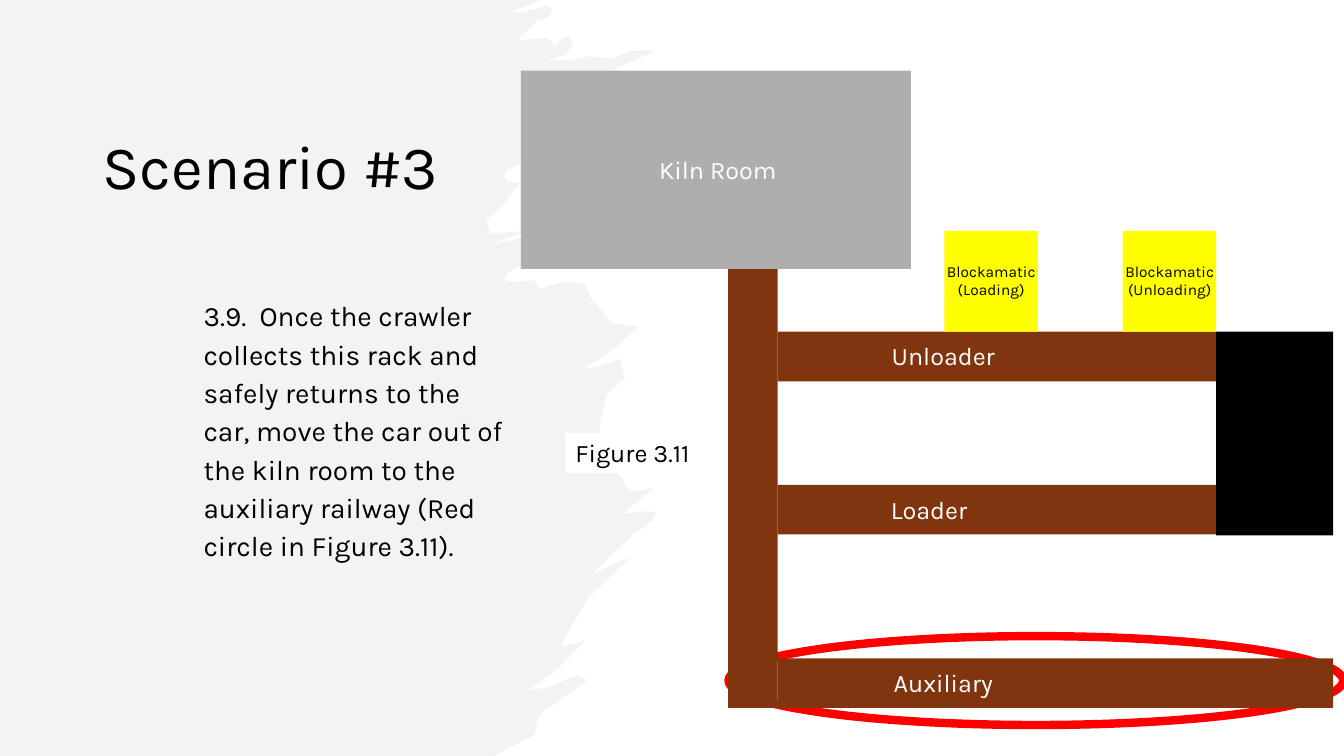
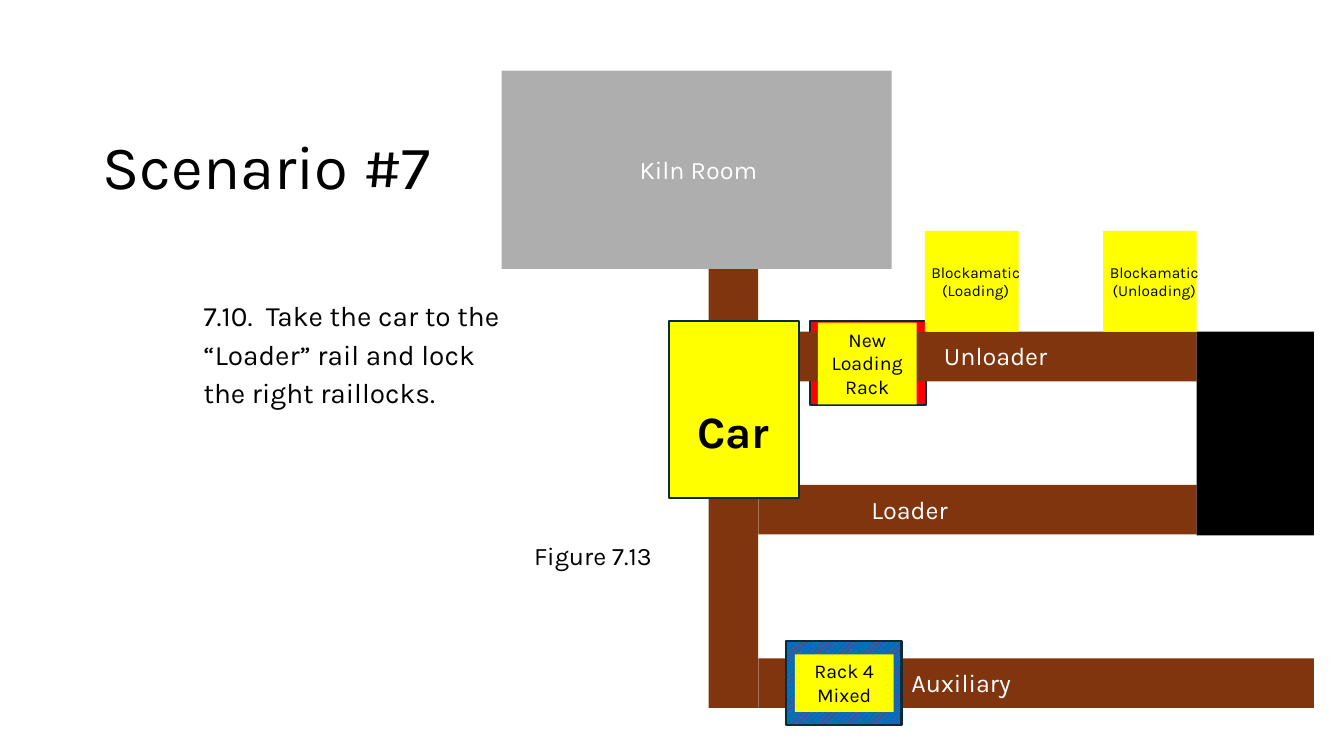
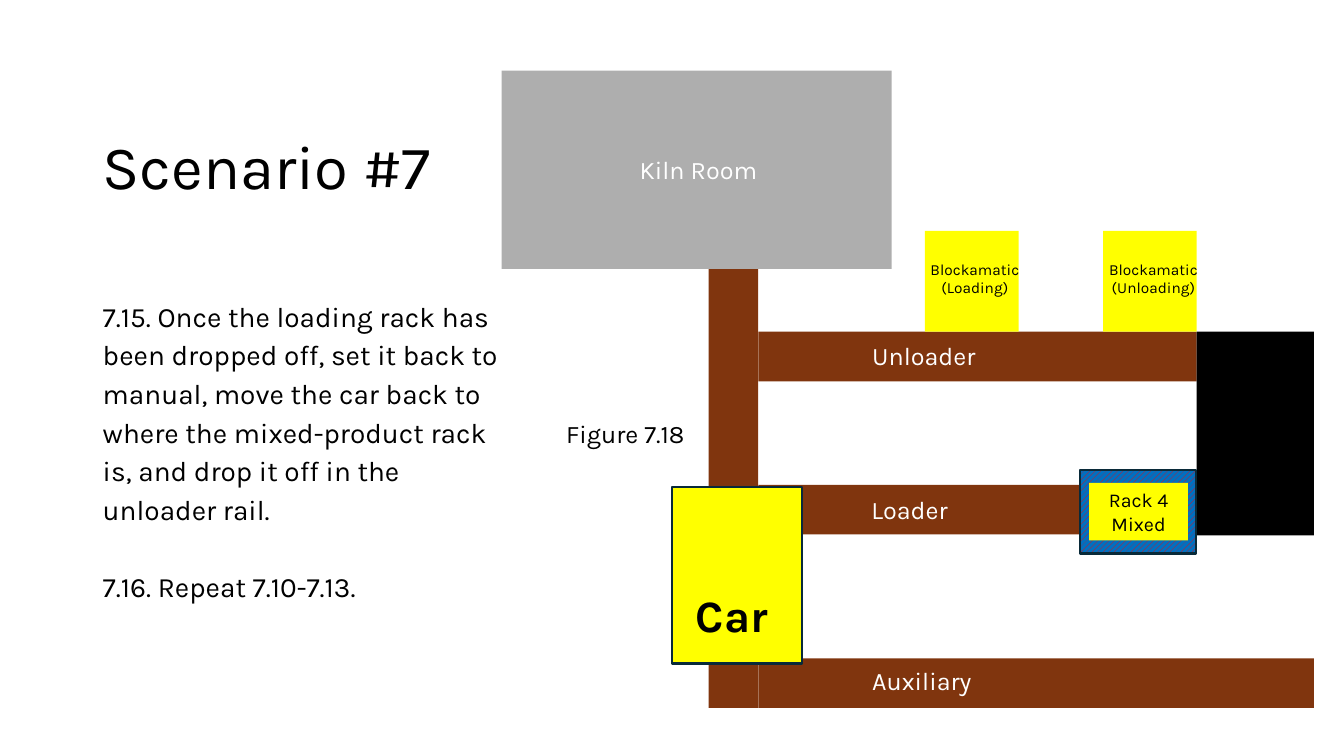
"""Build three kiln rail scenario slides."""
import lxml.etree
import pptx
import pptx.dml.color
import pptx.enum.dml
import pptx.enum.shapes
import pptx.enum.text
import pptx.oxml.ns
import pptx.util

Cm = pptx.util.Cm
Pt = pptx.util.Pt
RGBColor = pptx.dml.color.RGBColor
ALIGN = pptx.enum.text.PP_ALIGN
ANCHOR = pptx.enum.text.MSO_ANCHOR
SHAPE = pptx.enum.shapes.MSO_SHAPE

BLACK = RGBColor(0x00, 0x00, 0x00)
WHITE = RGBColor(0xFF, 0xFF, 0xFF)
GRAY = RGBColor(0xAE, 0xAE, 0xAE)
PAINT = RGBColor(0xE8, 0xE8, 0xE8)
BROWN = RGBColor(0x80, 0x35, 0x0E)
YELLOW = RGBColor(0xFF, 0xFF, 0x00)
RED = RGBColor(0xFF, 0x00, 0x00)
BLUE = RGBColor(0x00, 0x70, 0xC0)
NAVY = RGBColor(0x09, 0x2A, 0x39)

FONT = "Karla"
TITLE = {"size": Pt(44), "name": FONT}
BODY = {"size": Pt(20), "name": FONT}
LABEL = {"size": Pt(18), "name": FONT}
SMALL = {"size": Pt(11), "name": FONT}
RACK = {"size": Pt(14), "name": FONT}
CAR = {"size": Pt(32), "name": FONT, "bold": True}
CENTER = {"alignment": ALIGN.CENTER}

RAIL = 1.25
TRUNK_LEFT, KILN_HEIGHT = 5.22, 5.0
RAIL_LEFT, RAIL_LENGTH = TRUNK_LEFT + RAIL, 11.05
UNLOADER_TOP, LOADER_TOP, AUXILIARY_TOP = 6.58, 10.44, 14.81
MACHINE_WIDTH, MACHINE_HEIGHT = 2.36, 2.54
RAIL_END = RAIL_LEFT + RAIL_LENGTH

BRUSH_UNIT = Cm(2.54) / 100
BRUSH_EDGE = [
    (538, 0), (0, 0), (0, 750), (491, 750), (497, 746), (517, 736), (530, 729),
    (534, 711), (541, 704), (555, 695), (582, 675), (572, 670), (544, 682),
    (524, 685), (553, 664), (580, 636), (559, 641), (558, 638), (576, 605),
    (585, 592), (626, 552), (587, 570), (627, 531), (647, 517), (651, 509),
    (643, 507), (617, 510), (649, 484), (625, 488), (618, 477), (606, 461),
    (598, 452), (595, 423), (602, 391), (620, 375), (615, 356), (597, 363),
    (576, 367), (607, 348), (634, 324), (624, 323), (607, 321), (589, 298),
    (587, 297), (581, 282), (562, 279), (546, 283), (536, 287), (529, 278),
    (513, 280), (500, 278), (505, 270), (513, 265), (531, 265), (544, 256),
    (556, 241), (598, 217), (606, 208), (546, 230), (485, 243), (522, 229),
    (497, 231), (487, 232), (483, 222), (483, 218), (493, 209), (499, 203),
    (516, 182), (504, 180), (500, 175), (503, 169), (539, 150), (542, 135),
    (535, 133), (527, 134), (534, 122), (559, 110), (564, 104), (558, 101),
    (553, 99), (600, 73), (651, 50), (629, 50), (607, 58), (584, 56),
    (562, 60), (543, 60), (561, 54), (568, 45), (565, 36), (558, 38),
    (549, 49), (548, 42), (542, 38), (513, 40), (533, 20), (545, 17),
    (548, 8), (542, 6), (513, 13), (509, 11), (525, 5),
]


def set_all(target, values):
    """Set every attribute named in a dict."""
    for name, value in values.items():
        setattr(target, name, value)


def place(origin, left, top, width, height):
    """Turn centimetres relative to an origin into slide lengths."""
    return Cm(origin[0] + left), Cm(origin[1] + top), Cm(width), Cm(height)


def add_box(page, bounds, fill=None, line=None, weight=1.5, kind=SHAPE.RECTANGLE):
    """Add a preset shape with a plain fill and outline."""
    box = page.shapes.add_shape(kind, *bounds)
    box.shadow.inherit = False
    if fill is None:
        box.fill.background()
    else:
        box.fill.solid()
        box.fill.fore_color.rgb = fill
    if line is None:
        box.line.fill.background()
    else:
        box.line.color.rgb = line
        box.line.width = Pt(weight)
    return box


def add_text(page, bounds, lines, style, color=BLACK, layout=None, frame=None, fill=None):
    """Add a wrapped text box with one paragraph for each line."""
    box = page.shapes.add_textbox(*bounds)
    if fill is not None:
        box.fill.solid()
        box.fill.fore_color.rgb = fill
    set_all(box.text_frame, {"word_wrap": True, **(frame or {})})
    for index, line in enumerate(lines):
        para = box.text_frame.paragraphs[0] if index == 0 else box.text_frame.add_paragraph()
        set_all(para, layout or {})
        span = para.add_run()
        span.text = line
        set_all(span.font, style)
        span.font.color.rgb = color
    return box


def add_brush(page):
    """Paint the pale brush stroke at the left of the page."""
    builder = page.shapes.build_freeform(*BRUSH_EDGE[0], scale=BRUSH_UNIT)
    builder.add_line_segments(BRUSH_EDGE[1:], close=True)
    brush = builder.convert_to_shape()
    brush.shadow.inherit = False
    brush.line.fill.background()
    brush.fill.solid()
    brush.fill.fore_color.rgb = PAINT
    tint = brush.fill._xPr.find(".//" + pptx.oxml.ns.qn("a:srgbClr"))
    lxml.etree.SubElement(tint, pptx.oxml.ns.qn("a:alpha"), val="50000")


def add_story(page, title, steps, indent=0.25, spacing=1.15):
    """Add the title and the instructions in the left column."""
    column = (2.34, 1.78)
    add_text(page, place(column, 0, 0, 10.8, 5), [title], TITLE,
             layout={"line_spacing": 0.9}, frame={"vertical_anchor": ANCHOR.MIDDLE})
    body = add_text(page, place(column, 0, 5.51, 10.8, 9.88), steps, BODY,
                    layout={"line_spacing": spacing}, frame={"margin_left": Cm(indent)})
    for para in body.text_frame.paragraphs[1:]:
        para.space_before = Pt(27)


def add_plan(page, origin, unloader, auxiliary, machine):
    """Draw the kiln room, rails and machines, with label places as given."""
    areas = [
        (0, 0, 9.83, KILN_HEIGHT, GRAY),
        (TRUNK_LEFT, KILN_HEIGHT, RAIL, 11.06, BROWN),
        (RAIL_LEFT, UNLOADER_TOP, RAIL_LENGTH, RAIL, BROWN),
        (RAIL_LEFT, LOADER_TOP, RAIL_LENGTH, RAIL, BROWN),
        (RAIL_LEFT, AUXILIARY_TOP, 14, RAIL, BROWN),
        (RAIL_END, UNLOADER_TOP, 2.95, 5.13, BLACK),
    ]
    for left in (10.67, RAIL_END - MACHINE_WIDTH):
        areas.append((left, UNLOADER_TOP - MACHINE_HEIGHT, MACHINE_WIDTH, MACHINE_HEIGHT, YELLOW))
    for *bounds, fill in areas:
        add_box(page, place(origin, *bounds), fill)
    labels = [("Kiln Room", 3.23, 1.98, 3.48), ("Unloader", unloader, 6.68, 3.2),
              ("Loader", 9.07, 10.54, 3.2), ("Auxiliary", *auxiliary, 3.2)]
    for text, left, top, width in labels:
        add_text(page, place(origin, left, top, width, 1.03), [text], LABEL, WHITE)
    for index, task in enumerate(("Loading", "Unloading")):
        bounds = place(origin, machine[0] + 4.5 * index, machine[1], 3.38, 1.19)
        add_text(page, bounds, [f"Blockamatic ({task})"], SMALL, layout=CENTER)


def add_caption(page, left, top, text):
    """Add the white figure caption."""
    add_text(page, place((left, top), 0, 0, 3.6, 1.02), [text], LABEL, fill=WHITE)


def add_car(page, left, top, label):
    """Add the car with its label at an offset inside it."""
    origin = (left, top)
    add_box(page, place(origin, 0, 0, 3.28, 4.45), YELLOW, NAVY)
    add_text(page, place(origin, *label, 2.5, 1.63), ["Car"], CAR)


def add_mixed_rack(page, left, top):
    """Add the striped rack of mixed products."""
    origin = (left, top)
    frame = add_box(page, place(origin, 0, 0, 2.92, 2.11), BLUE, NAVY)
    frame.fill.patterned()
    frame.fill.pattern = pptx.enum.dml.MSO_PATTERN.WIDE_UPWARD_DIAGONAL
    frame.fill.fore_color.rgb = RED
    frame.fill.back_color.rgb = BLUE
    add_text(page, place(origin, 0.23, 0.33, 2.49, 1.45), ["Rack 4", "Mixed"], RACK,
             layout=CENTER, fill=YELLOW)


def build_return(page):
    """Build the step that returns the car to the auxiliary rail."""
    add_brush(page)
    add_story(page, "Scenario #3", [
        "3.9.\u00a0 Once the crawler collects this rack and safely returns to the car, move the car "
        "out of the kiln room to the auxiliary railway (Red circle in Figure 3.11)."
        .replace("\u00a0", " ")], 2.79, 1.14)
    add_box(page, place((18.36, 16.03), 0, 0, 15.49, 2.24), line=RED, weight=6, kind=SHAPE.OVAL)
    add_plan(page, (13.13, 1.78), 9.09, (9.14, 14.91), (10.16, 4.7))
    add_caption(page, 14.25, 10.9, "Figure 3.11")


def build_lock(page):
    """Build the step that locks the car at the loader rail."""
    left, top = 12.64, 1.78
    add_story(page, "Scenario #7", [
        "7.10.  Take the car to the “Loader” rail and lock the right raillocks."], 2.79, 1.14)
    new_rack = (left + 7.77, top + 6.32)
    add_box(page, place(new_rack, 0, 0, 2.92, 2.11), RED, NAVY)
    add_plan(page, (left, top), 10.9, (10.08, 14.91), (10.26, 4.72))
    add_text(page, place(new_rack, 0.2, 0.03, 2.49, 2.06), ["New Loading Rack"], RACK,
             layout=CENTER, fill=YELLOW)
    add_car(page, left + 4.22, top + 6.32, (0.46, 1.96))
    add_mixed_rack(page, left + 7.16, top + 14.38)
    add_caption(page, 13.21, 13.49, "Figure 7.13")


def build_drop(page):
    """Build the step that drops off the mixed-product rack."""
    left, top = 12.64, 1.78
    add_story(page, "Scenario #7", [
        "7.15. Once the loading rack has been dropped off, set it back to manual, move the car "
        "back to where the mixed-product rack is, and drop it off in the unloader rail.",
        "7.16. Repeat 7.10-7.13."])
    add_plan(page, (left, top), 9.09, (9.09, 14.86), (10.24, 4.65))
    add_car(page, left + 4.29, top + 10.49, (0.36, 2.41))
    add_mixed_rack(page, left + 14.58, top + 10.06)
    add_caption(page, 14.02, 10.41, "Figure 7.18")


def main():
    """Build and save the deck."""
    deck = pptx.Presentation()
    set_all(deck, {"slide_width": Cm(33.87), "slide_height": Cm(19.05)})
    for build in (build_return, build_lock, build_drop):
        build(deck.slides.add_slide(deck.slide_layouts[6]))
    deck.save("out.pptx")


if __name__ == "__main__":
    main()
